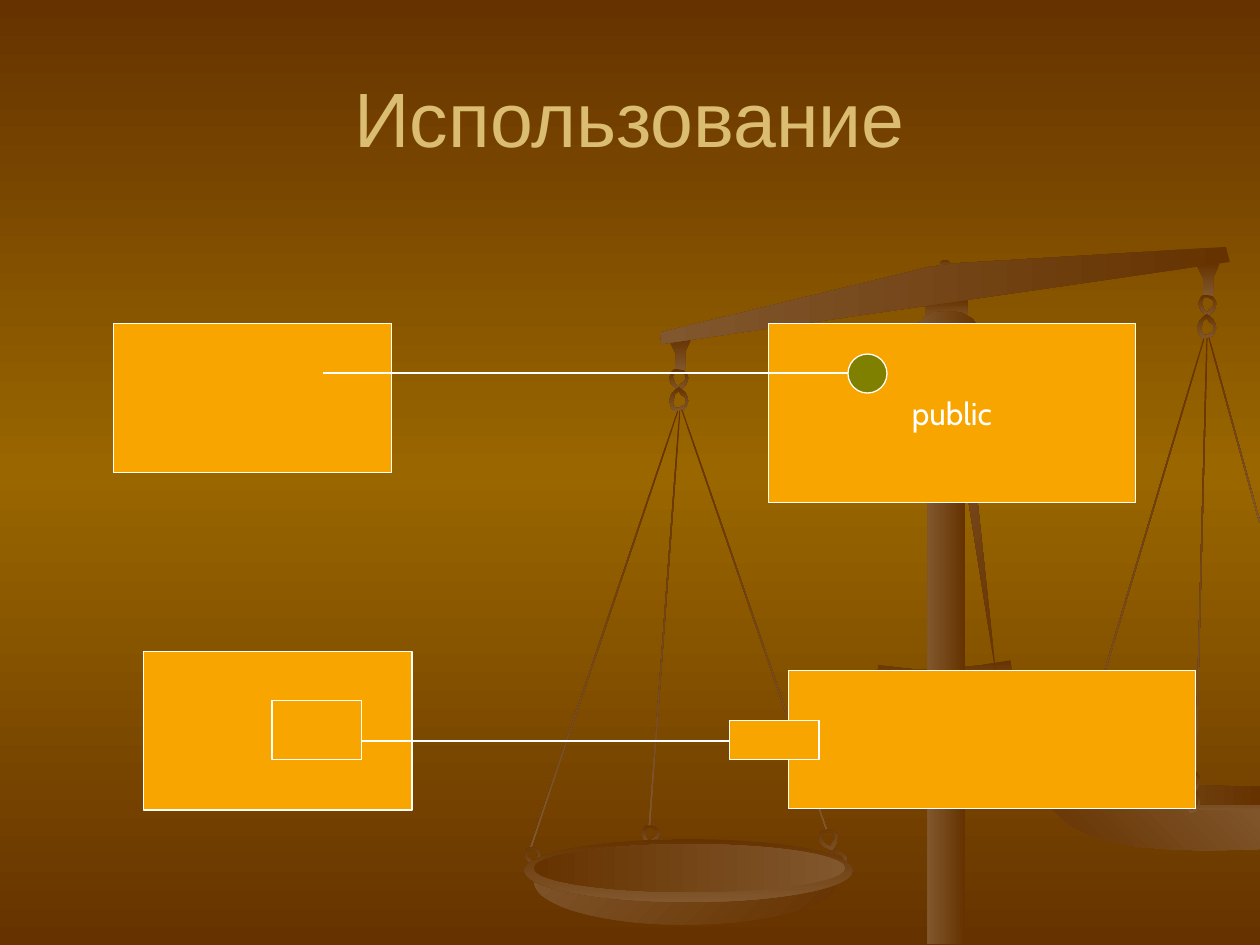
from copy import deepcopy

from lxml import etree
from pptx import Presentation
from pptx.dml.color import RGBColor
from pptx.enum import shapes, text
from pptx.oxml.ns import qn
from pptx.util import Inches, Pt

DARK = RGBColor(0x66, 0x33, 0x00)
OCHRE = RGBColor(0x99, 0x66, 0x00)
BRONZE = RGBColor(0x81, 0x57, 0x2D)
SAND = RGBColor(0xDB, 0xBD, 0x71)
ORANGE = RGBColor(0xF8, 0xA5, 0x00)
OLIVE = RGBColor(0x80, 0x80, 0x00)
WHITE = RGBColor(0xFF, 0xFF, 0xFF)

RECT = shapes.MSO_SHAPE.RECTANGLE
OVAL = shapes.MSO_SHAPE.OVAL

# Outlines of the scales, in hundredths of an inch
FOOT = [(697, 528), (724, 531), (739, 531), (757, 530), (778, 528), (802, 524),
        (804, 544), (782, 548), (768, 551), (751, 552), (733, 552), (714, 551), (696, 547)]
PAN_RIM = [(958, 624), (910, 624), (885, 623), (865, 623), (846, 624), (836, 624),
           (831, 626), (827, 628), (830, 632), (837, 634), (852, 638), (878, 641),
           (914, 644), (958, 645), (1000, 645), (1000, 626), (980, 626)]
PAN_BOWL = [(831, 633), (835, 642), (842, 649), (852, 657), (865, 663), (882, 668),
            (903, 672), (928, 674), (957, 675), (1000, 674), (1000, 643), (953, 643),
            (918, 642), (886, 640), (857, 637)]
PAN_INSIDE = [(956, 623), (909, 623), (869, 623), (851, 624), (839, 626), (834, 628),
              (843, 631), (863, 634), (893, 637), (933, 638), (978, 639), (1000, 639),
              (1000, 624), (979, 624)]
BEAM = [(973, 196), (976, 208), (525, 273), (524, 264), (737, 212), (759, 209)]
BRACE = [(791, 539), (750, 280), (750, 276), (748, 268), (760, 265), (761, 274), (763, 277)]
CAP = [(752, 247), (763, 248), (772, 253), (777, 260), (779, 271),
       (724, 271), (726, 260), (732, 253), (740, 248)]

# Hook and chain link, measured from their own corner
HOOK = [(18, 0), (0, 2), (5, 12), (5, 26), (13, 26), (13, 11)]
LINK_OUTER = [(8, 17), (13, 13), (15, 9), (16, 7), (15, 5), (12, 1), (7, 0),
              (4, 0), (2, 2), (1, 5), (0, 7), (2, 12), (5, 15)]
LINK_HOLE = [(8, 2), (12, 4), (13, 5), (13, 7), (13, 9), (9, 12), (8, 14),
             (5, 12), (4, 9), (3, 6), (5, 2)]

# Left, top, height, rotation of each pan string
STRINGS = [(9.04, 2.6, 3.6, 16.6), (9.53, 2.66, 3.47, 1.5), (9.79, 2.64, 1.53, 344.6),
           (5.98, 3.15, 3.53, 341), (4.79, 3.16, 3.68, 18.6), (5.27, 3.25, 3.31, 4.2)]
# Box, tip pointing up, rotation of each chain link
LINKS = [((5.31, 2.93, 0.16, 0.17), False, 0), ((5.31, 3.07, 0.16, 0.19), True, 0),
         ((9.51, 2.34, 0.15, 0.17), False, 0), ((9.5, 2.49, 0.16, 0.19), True, 0),
         ((9.42, 6.12, 0.11, 0.17), False, 0), ((9.41, 6.26, 0.12, 0.19), True, 0),
         ((5.09, 6.55, 0.15, 0.16), False, 0), ((6.56, 6.72, 0.16, 0.19), True, -20),
         ((4.17, 6.72, 0.13, 0.16), False, -25)]


def set_gradient(fill, angle=90, colors=(DARK, BRONZE)):
    """Two-colour gradient; the angle runs clockwise from left to right."""
    fill.gradient()
    fill.gradient_angle = (360 - angle) % 360
    for stop, color in zip(fill.gradient_stops, colors):
        stop.color.rgb = color


def set_background(slide):
    fill = slide.background.fill
    set_gradient(fill, colors=(DARK, OCHRE))
    stops = next(slide.element.iter(qn("a:gsLst")))
    last = deepcopy(stops[0])
    stops.append(last)
    for stop, position in zip(fill.gradient_stops, (0, 0.5, 1)):
        stop.position = position


def finish_bronze(shape, angle, colors):
    set_gradient(shape.fill, angle, colors)
    shape.line.fill.background()
    shape.shadow.inherit = False
    return shape


def add_bronze(slide, kind, box, angle=90, colors=(DARK, BRONZE)):
    shape = slide.shapes.add_shape(kind, *map(Inches, box))
    return finish_bronze(shape, angle, colors)


def add_outline(slide, *contours, angle=90, colors=(DARK, BRONZE)):
    first, *holes = contours
    builder = slide.shapes.build_freeform(*first[0], scale=Inches(0.01))
    builder.add_line_segments(first[1:], close=first is not BRACE)
    for hole in holes:
        builder.move_to(*hole[0])
        builder.add_line_segments(hole[1:])
    return finish_bronze(builder.convert_to_shape(), angle, colors)


def add_link(slide, box, tip_up, rotation):
    contours = (LINK_OUTER, LINK_HOLE)
    if tip_up:
        contours = [[(x, 17 - y) for x, y in contour] for contour in contours]
    link = add_outline(slide, *contours)
    for name, value in zip(("left", "top", "width", "height"), box):
        setattr(link, name, Inches(value))
    link.rotation = rotation


def add_scales(slide):
    add_bronze(slide, RECT, (7.34, 2.37, 0.34, 0.18))
    add_bronze(slide, OVAL, (7.46, 2.06, 0.08, 0.08))
    for left, top, height, rotation in STRINGS:
        add_bronze(slide, RECT, (left, top, 0.01, height)).rotation = rotation
    add_outline(slide, FOOT)
    # Right pan
    add_outline(slide, PAN_RIM)
    add_outline(slide, PAN_BOWL, angle=135, colors=(BRONZE, DARK))
    add_outline(slide, PAN_INSIDE, angle=180)
    # Hooks, chain links and beam
    for left, top in ((5.31, 2.68), (9.5, 2.09)):
        hook = add_outline(slide, HOOK)
        hook.left, hook.top = Inches(left), Inches(top)
    for link in LINKS:
        add_link(slide, *link)
    add_outline(slide, BEAM, angle=180)
    # Left pan
    add_bronze(slide, OVAL, (4.24, 6.66, 2.4, 0.68), 225)
    add_bronze(slide, OVAL, (4.16, 6.66, 2.61, 0.5))
    add_bronze(slide, OVAL, (4.24, 6.7, 2.47, 0.38), 180, (BRONZE, DARK))
    add_link(slide, (6.5, 6.58, 0.16, 0.17), False, -20)
    # Post
    add_bronze(slide, RECT, (7.36, 3.08, 0.3, 4.41), 180)
    add_outline(slide, BRACE, angle=225)
    add_outline(slide, CAP, angle=180)


def set_text(shape, words, wrap, color, **font_format):
    frame = shape.text_frame
    frame.word_wrap = wrap
    frame.vertical_anchor = text.MSO_ANCHOR.MIDDLE
    paragraph = frame.paragraphs[0]
    paragraph.alignment = text.PP_ALIGN.CENTER
    run = paragraph.add_run()
    run.text = words
    for name, value in font_format.items():
        setattr(run.font, name, value)
    run.font.color.rgb = color


def add_block(slide, box, kind=RECT, color=ORANGE):
    shape = slide.shapes.add_shape(kind, *map(Inches, box))
    shape.shadow.inherit = False
    shape.fill.solid()
    shape.fill.fore_color.rgb = color
    shape.line.color.rgb = WHITE
    shape.line.width = Pt(0.75)
    return shape


def add_line(slide, left, right, y):
    ends = map(Inches, (left, y, right, y))
    line = slide.shapes.add_connector(shapes.MSO_CONNECTOR.STRAIGHT, *ends)
    line.line.color.rgb = WHITE
    line.line.width = Pt(0.75)
    etree.SubElement(line.element.spPr, qn("a:effectLst"))


def main():
    presentation = Presentation()
    presentation.slide_width, presentation.slide_height = Inches(10), Inches(7.5)
    slide = presentation.slides.add_slide(presentation.slide_layouts[6])
    set_background(slide)
    add_scales(slide)

    # Title
    title = slide.shapes.add_textbox(*map(Inches, (0.5, 0.3, 9, 1.25)))
    set_text(title, "Использование", True, SAND, size=Pt(44), name="Arial")

    # Upper pair: a block using a public member
    add_block(slide, (0.9, 2.57, 2.21, 1.18))
    public_block = add_block(slide, (6.1, 2.57, 2.91, 1.42))
    set_text(public_block, "public", False, WHITE, size=Pt(18), name="Cabin")
    add_block(slide, (6.73, 2.81, 0.31, 0.31), OVAL, OLIVE)
    add_line(slide, 2.56, 6.73, 2.96)

    # Lower pair: blocks joined through ports
    for box in ((1.14, 5.17, 2.13, 1.26), (2.16, 5.56, 0.71, 0.47),
                (6.26, 5.32, 3.23, 1.1), (5.79, 5.72, 0.71, 0.31)):
        add_block(slide, box)
    add_line(slide, 2.87, 5.79, 5.88)

    presentation.save("out.pptx")


if __name__ == "__main__":
    main()
